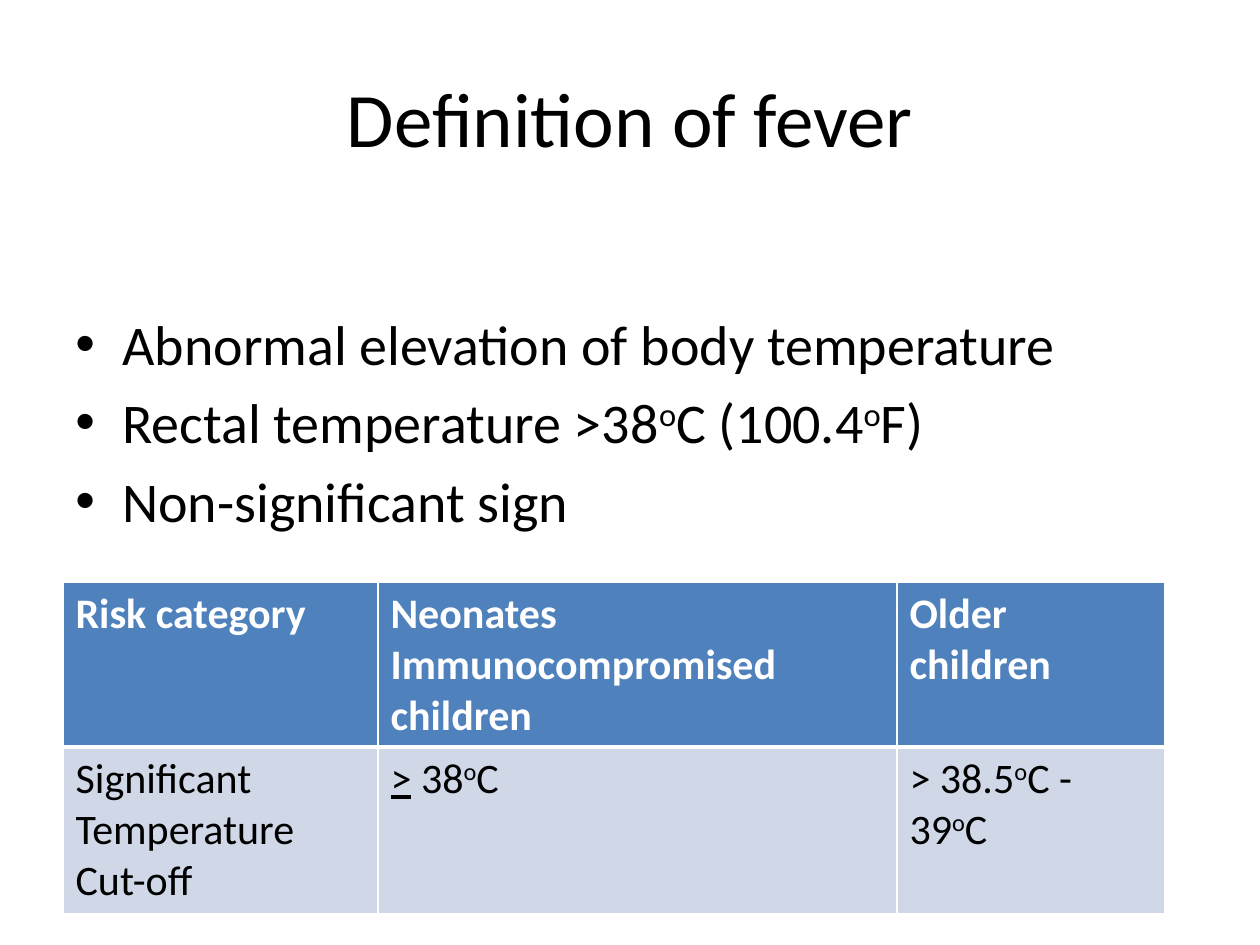
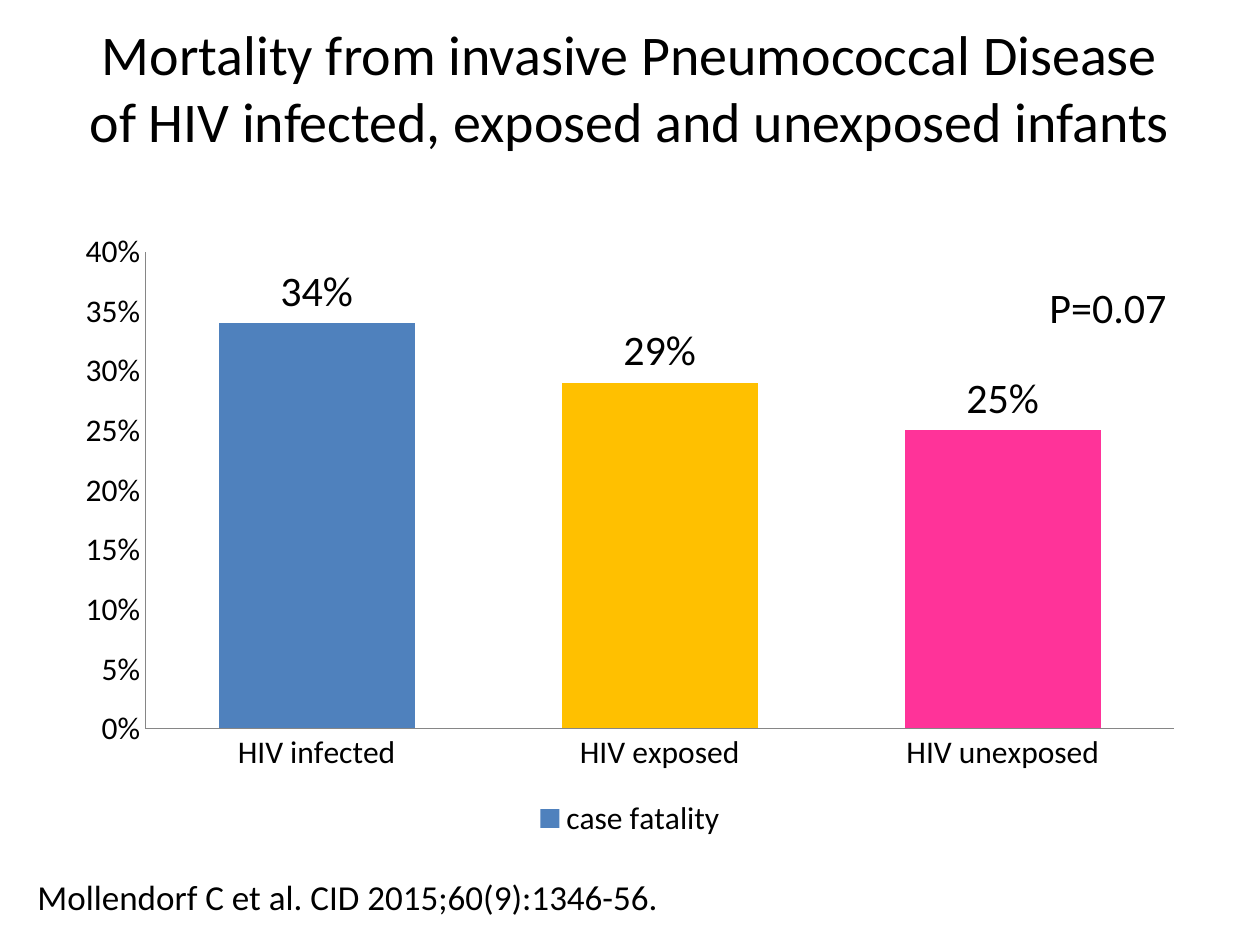
from lxml import etree
from pptx import Presentation
from pptx import util as u
from pptx.chart.data import CategoryChartData
from pptx.dml.color import RGBColor
from pptx.enum import chart as charts, text
from pptx.oxml import ns

PX = 914400 / 126
FONT = "Calibri"
BLACK = RGBColor(0x00, 0x00, 0x00)
WHITE = RGBColor(0xFF, 0xFF, 0xFF)
BLUE = RGBColor(0x4F, 0x81, 0xBD)
PALE_BLUE = RGBColor(0xD0, 0xD8, 0xE8)
AMBER = RGBColor(0xFF, 0xC0, 0x00)
PINK = RGBColor(0xFF, 0x33, 0x99)
AXIS_GREY = RGBColor(0x86, 0x86, 0x86)

# A paragraph is a list of runs; a run is a string or a (string, style) pair.
DEGREE = ("o", "superscript")
AT_LEAST = (">", "underline")

FEVER_TITLE = "Definition of fever"
FEVER_POINTS = [
    ["Abnormal elevation of body temperature"],
    ["Rectal temperature >38", DEGREE, "C (100.4", DEGREE, "F)"],
    ["Non-significant sign"],
]
CUTOFF_ROWS = [
    [[["Risk category"]],
     [["Neonates"], ["Immunocompromised children"]],
     [["Older children"]]],
    [[["Significant Temperature Cut-off"]],
     [[AT_LEAST, " 38", DEGREE, "C"]],
     [["> 38.5", DEGREE, "C - 39", DEGREE, "C"]]],
]
CUTOFF_COLUMNS = [315, 519, 268]
CUTOFF_HEIGHTS = [165, 167]
CUTOFF_FORMATS = [
    {"fill": BLUE, "font": {"size": 24, "color": WHITE, "bold": True}, "bottom": 3},
    {"fill": PALE_BLUE, "font": {"size": 24, "color": BLACK, "bold": False}, "bottom": 1},
]

MORTALITY_TITLE = ("Mortality from invasive Pneumococcal Disease "
                   "of HIV infected, exposed and unexposed infants")
MORTALITY_SERIES = "case fatality"
MORTALITY = [("HIV infected", 0.34, BLUE), ("HIV exposed", 0.29, AMBER),
             ("HIV unexposed", 0.25, PINK)]
CITATION = "Mollendorf C et al. CID 2015;60(9):1346-56."
P_VALUE = "P=0.07"


def px(*lengths):
    return [u.Emu(round(length * PX)) for length in lengths]


def format_font(font, size, color=BLACK, **values):
    font.color.rgb = color
    for name, value in {"name": FONT, "size": u.Pt(size), **values}.items():
        setattr(font, name, value)


def fill_frame(frame, paragraphs, font):
    for index, runs in enumerate(paragraphs):
        paragraph = frame.paragraphs[0] if index == 0 else frame.add_paragraph()
        for item in runs:
            content, style = (item, None) if isinstance(item, str) else item
            run = paragraph.add_run()
            run.text = content
            format_font(run.font, **font)
            if style == "underline":
                run.font.underline = True
            elif style == "superscript":
                run.font._element.set("baseline", "30000")


def add_text(slide, box, paragraphs, size, wrap=True):
    frame = slide.shapes.add_textbox(*px(*box)).text_frame
    frame.word_wrap = wrap
    fill_frame(frame, paragraphs, {"size": size})
    return frame


def add_title(slide, title, height, size):
    frame = add_text(slide, (63, 38, 1134, height), [[title]], size)
    frame.vertical_anchor = text.MSO_ANCHOR.MIDDLE
    frame.paragraphs[0].alignment = text.PP_ALIGN.CENTER


def add_bullets(slide, box, paragraphs, size):
    frame = add_text(slide, box, paragraphs, size)
    indent, = px(47)
    for index, paragraph in enumerate(frame.paragraphs):
        properties = paragraph._p.get_or_add_pPr()
        properties.set("marL", str(indent))
        properties.set("indent", str(-indent))
        etree.SubElement(properties, ns.qn("a:buFont"), typeface="Arial")
        etree.SubElement(properties, ns.qn("a:buChar"), char="•")
        if index:
            paragraph.space_before = u.Pt(size * 0.2)


def set_border(cell, side, points):
    """Append a white border; call before the cell's fill is set."""
    line = etree.SubElement(cell._tc.get_or_add_tcPr(), ns.qn(f"a:ln{side}"),
                            w=str(u.Pt(points)))
    fill = etree.SubElement(line, ns.qn("a:solidFill"))
    etree.SubElement(fill, ns.qn("a:srgbClr"), val=str(WHITE))


def add_cutoff_table(slide):
    box = px(63, 582, sum(CUTOFF_COLUMNS), sum(CUTOFF_HEIGHTS))
    table = slide.shapes.add_table(len(CUTOFF_ROWS), len(CUTOFF_COLUMNS), *box).table
    for column, width in zip(table.columns, px(*CUTOFF_COLUMNS)):
        column.width = width
    for row, height, cells, style in zip(table.rows, px(*CUTOFF_HEIGHTS),
                                         CUTOFF_ROWS, CUTOFF_FORMATS):
        row.height = height
        top = 3 if style["bottom"] == 1 else 1
        for cell, paragraphs in zip(row.cells, cells):
            for side, points in (("L", 1), ("R", 1), ("T", top), ("B", style["bottom"])):
                set_border(cell, side, points)
            cell.fill.solid()
            cell.fill.fore_color.rgb = style["fill"]
            fill_frame(cell.text_frame, paragraphs, style["font"])


def add_mortality_chart(slide):
    categories, values, colors = zip(*MORTALITY)
    data = CategoryChartData(number_format="0%")
    data.categories = categories
    data.add_series(MORTALITY_SERIES, values)
    chart = slide.shapes.add_chart(charts.XL_CHART_TYPE.COLUMN_CLUSTERED,
                                   *px(63, 220, 1134, 624), data).chart
    format_font(chart.font, 18)
    chart.has_title = False
    chart.has_legend = True
    chart.legend.position = charts.XL_LEGEND_POSITION.BOTTOM
    chart.legend.include_in_layout = False

    for axis in (chart.category_axis, chart.value_axis):
        axis.has_major_gridlines = False
        axis.major_tick_mark = charts.XL_TICK_MARK.NONE
        axis.format.line.color.rgb = AXIS_GREY
        axis.format.line.width = u.Pt(0.75)
    scale = {"minimum_scale": 0, "maximum_scale": 0.4, "major_unit": 0.05}
    for name, value in scale.items():
        setattr(chart.value_axis, name, value)
    chart.value_axis.tick_labels.number_format = "0%"
    chart.value_axis.tick_labels.number_format_is_linked = False

    plot = chart.plots[0]
    plot.gap_width = 75
    plot.vary_by_categories = False
    series = plot.series[0]
    series.format.fill.solid()
    series.format.fill.fore_color.rgb = colors[0]
    for index, color in enumerate(colors[1:], start=1):
        fill = series.points[index].format.fill
        fill.solid()
        fill.fore_color.rgb = color
    labels = series.data_labels
    format_font(labels.font, 24)
    label_format = {"show_value": True, "number_format": "0%",
                    "number_format_is_linked": False,
                    "position": charts.XL_LABEL_POSITION.OUTSIDE_END}
    for name, value in label_format.items():
        setattr(labels, name, value)


def build_fever_slide(slide):
    add_title(slide, FEVER_TITLE, 157, 44)
    add_bullets(slide, (63, 303, 1134, 245), FEVER_POINTS, 32)
    add_cutoff_table(slide)


def build_mortality_slide(slide):
    add_title(slide, MORTALITY_TITLE, 97, 32)
    add_mortality_chart(slide)
    add_text(slide, (25, 869, 651, 55), [[CITATION]], 20, wrap=False)
    add_text(slide, (1037, 275, 144, 63), [[P_VALUE]], 24, wrap=False)


def main():
    presentation = Presentation()
    presentation.slide_width, presentation.slide_height = px(1260, 945)
    blank = presentation.slide_layouts[6]
    for build in (build_fever_slide, build_mortality_slide):
        build(presentation.slides.add_slide(blank))
    presentation.save("out.pptx")


if __name__ == "__main__":
    main()
